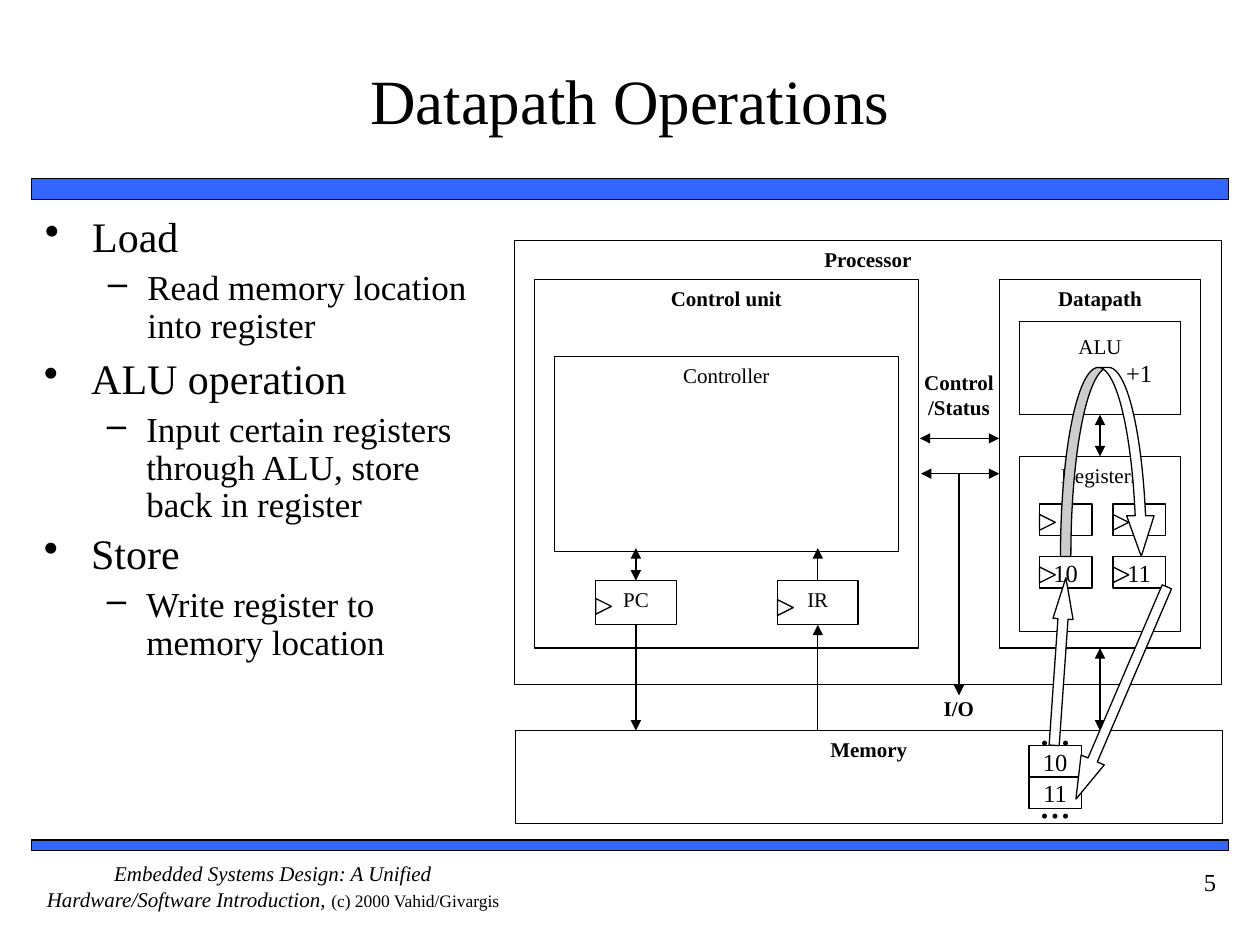
from dataclasses import dataclass

from lxml import etree
from pptx import Presentation
from pptx import util as u
from pptx.dml.color import RGBColor
from pptx.enum import shapes, text
from pptx.oxml.ns import qn

Pt = u.Pt
SHAPE = shapes.MSO_SHAPE
TOP, LEFT, BOTTOM, RIGHT = range(4)
CENTER = text.PP_ALIGN.CENTER
MIDDLE = text.MSO_ANCHOR.MIDDLE


@dataclass(frozen=True)
class Theme:
    font: str = "Times New Roman"
    ink: RGBColor = RGBColor(0, 0, 0)
    paper: RGBColor = RGBColor(255, 255, 255)
    bar: RGBColor = RGBColor(0x33, 0x66, 0xFF)
    title: float = 36
    topic: float = 24
    detail: float = 20
    value: float = 14
    label: float = 12
    credit: float = 10
    line: float = 0.75
    bar_line: float = 1


class Diagram:
    def __init__(self, slide, theme):
        self.shapes = slide.shapes
        self.theme = theme

    def style(self, font, size, bold=False, italic=False):
        font.name, font.size = self.theme.font, Pt(size)
        font.bold, font.italic = bold, italic
        font.color.rgb = self.theme.ink

    def set_words(self, shape, words, size, bold=False, align=CENTER,
                  anchor=text.MSO_ANCHOR.TOP, inset=(0, 0, 0, 0), wrap=True):
        frame = shape.text_frame
        frame.word_wrap = wrap
        frame.vertical_anchor = anchor
        (frame.margin_left, frame.margin_top,
         frame.margin_right, frame.margin_bottom) = map(Pt, inset)
        frame.text = words
        for paragraph in frame.paragraphs:
            paragraph.alignment = align
            for run in paragraph.runs:
                self.style(run.font, size, bold)
        return frame

    def label(self, box, words, size, **options):
        return self.set_words(self.shapes.add_textbox(*map(Pt, box)), words, size, **options)

    def value(self, box, words):
        self.label(box, words, self.theme.value, anchor=MIDDLE, wrap=False)

    def shape(self, kind, box, fill=None, turn=0, adjust=(), line=None):
        item = self.shapes.add_shape(kind, *map(Pt, box))
        item.shadow.inherit = False
        item.rotation = turn
        for i, amount in enumerate(adjust):
            item.adjustments[i] = amount
        if fill is None:
            item.fill.background()
        else:
            item.fill.solid()
            item.fill.fore_color.rgb = fill
        item.line.color.rgb = self.theme.ink
        item.line.width = Pt(line or self.theme.line)
        return item

    def block(self, box, name, bold=False, filled=True, top=3.6):
        item = self.shape(SHAPE.RECTANGLE, box, self.theme.paper if filled else None)
        self.set_words(item, name, self.theme.label, bold, inset=(7.2, top, 7.2, 3.6))
        return item

    def bar(self, box):
        self.shape(SHAPE.RECTANGLE, box, self.theme.bar, line=self.theme.bar_line)

    def clock(self, x, y):
        """Draw the clock input mark of a register."""
        self.shape(SHAPE.ISOSCELES_TRIANGLE, (x, y, 9, 9), turn=90)

    def arrow(self, start, end, both=False, source=None, target=None):
        """source and target are (shape, side) pairs to join the ends to."""
        item = self.shapes.add_connector(
            shapes.MSO_CONNECTOR.STRAIGHT, *map(Pt, (*start, *end)))
        if source:
            item.begin_connect(*source)
        if target:
            item.end_connect(*target)
        item.line.color.rgb = self.theme.ink
        item.line.width = Pt(self.theme.line)
        line = item.line._get_or_add_ln()
        for tag in ("a:headEnd", "a:tailEnd") if both else ("a:tailEnd",):
            etree.SubElement(line, qn(tag), type="triangle")
        etree.SubElement(item._element.spPr, qn("a:effectLst"))

    def topic(self, x, y, heading, detail):
        frame = self.label((x, y, 267, 86), f"{heading}\n{detail}", self.theme.topic,
                           align=text.PP_ALIGN.LEFT, inset=(7.2, 3.6, 7.2, 3.6))
        levels = (("•", 27, 27, self.theme.topic, 0), ("–", 58.5, 22.5, self.theme.detail, 5))
        for level, (paragraph, rule) in enumerate(zip(frame.paragraphs, levels)):
            mark, margin, hang, size, before = rule
            paragraph.level = level
            paragraph.line_spacing = 0.9
            paragraph.space_before = Pt(before)
            props = paragraph._p.get_or_add_pPr()
            props.set("marL", str(Pt(margin)))
            props.set("indent", str(-Pt(hang)))
            etree.SubElement(props, qn("a:buChar"), char=mark)
            self.style(paragraph.runs[0].font, size)


def add_frame(d):
    t = d.theme
    d.bar((18, 102, 684, 12))
    d.bar((18, 480, 684, 6))
    credit = d.label((18, 492, 276, 36),
                     "Embedded Systems Design: A Unified Hardware/Software Introduction, ",
                     t.label)
    d.style(credit.paragraphs[0].runs[0].font, t.label, italic=True)
    holders = credit.paragraphs[0].add_run()
    holders.text = "(c) 2000 Vahid/Givargis"
    d.style(holders.font, t.credit)
    d.label((630, 492, 72, 36), "5", t.value, align=text.PP_ALIGN.RIGHT,
            inset=(7.2, 3.6, 7.2, 3.6))
    d.label((30, 12, 660, 90), "Datapath Operations", t.title, anchor=MIDDLE)


def add_processor(d):
    t = d.theme
    d.block((294, 137.5, 404, 253.5), "Processor", bold=True, filled=False)
    d.block((305.3, 159.8, 219.6, 210.6), "Control unit", bold=True, filled=False)
    datapath = d.block((571, 159.8, 115.2, 210.6), "Datapath", bold=True, filled=False)
    alu = d.block((582.5, 183.6, 92.2, 53.4), "ALU", top=7.2)
    registers = d.block((582.5, 260.8, 92.2, 100), "Registers")
    ir = d.block((444.3, 331.8, 46, 25.2), "IR")
    pc = d.block((340.4, 331.8, 46, 25.2), "PC")
    d.block((316.8, 203.8, 196.6, 111.4), "Controller")
    d.block((294.5, 417.5, 404, 53.2), "Memory", bold=True)

    pc_x, ir_x, data_x, io_x, memory_y = 363.4, 467.3, 628.6, 548, 417.5
    d.arrow((ir_x, 331.8), (ir_x, 313.2), source=(ir, TOP))
    d.arrow((pc_x, 331.8), (pc_x, 313.2), both=True, source=(pc, TOP))
    d.arrow((data_x, 237), (data_x, 260.8), both=True,
            source=(alu, BOTTOM), target=(registers, TOP))
    d.arrow((525.6, 250.5), (571, 250.5), both=True)
    d.arrow((data_x, 370.4), (data_x, memory_y), both=True, source=(datapath, BOTTOM))
    d.arrow((pc_x, 357), (pc_x, memory_y), source=(pc, BOTTOM))
    d.arrow((ir_x, memory_y), (ir_x, 357), target=(ir, BOTTOM))
    for end in ((571, 270.7), (io_x, 397.4), (526.3, 270.7)):
        d.arrow((io_x, 270.7), end)
    d.label((530.6, 397.4, 34.6, 20), "I/O", t.label, bold=True)
    d.label((525, 211, 46, 40), "Control\n/Status", t.label, bold=True)
    d.clock(340.4, 342)
    d.clock(444.3, 342.7)


def add_data_flow(d):
    t = d.theme
    cell = (30, 18)
    left, right = 594, 636
    lower = 318
    for x in (left, right):
        for y in (288, lower):
            d.shape(SHAPE.RECTANGLE, (x, y, *cell))
            d.clock(x, y + 6)

    first_word, second_word = ((588, y, *cell) for y in (426, 444))
    for word in (first_word, second_word):
        d.shape(SHAPE.RECTANGLE, word)
    for y in (402, 444):
        d.label((594, y, 18, 28.8), "...", t.topic, align=text.PP_ALIGN.LEFT, wrap=False)
    d.value(first_word, "10")
    d.value((left, lower, *cell), "10")
    d.shape(SHAPE.UP_ARROW, (600, 330, 11.5, 96), t.paper, 4, (0.5, 2.05))
    d.shape(SHAPE.CURVED_DOWN_ARROW, (606, 210, 54, 108), t.paper,
            adjust=(0.11, 0.29, 0.43))
    d.value((right, 204, *cell), "+1")
    d.value((right, lower, *cell), "11")
    d.shape(SHAPE.DOWN_ARROW, (633.6, 330, 14.4, 132), t.paper, 23.2, (0.4, 1.69))
    d.value(second_word, "11")


def main():
    deck = Presentation()
    deck.slide_width, deck.slide_height = Pt(720), Pt(540)
    d = Diagram(deck.slides.add_slide(deck.slide_layouts[6]), Theme())
    add_frame(d)
    d.topic(18.6, 120, "Load", "Read memory location into register")
    d.topic(18, 201, "ALU operation",
            "Input certain registers through ALU, store back in register")
    d.topic(18, 301, "Store", "Write register to memory location")
    add_processor(d)
    add_data_flow(d)
    deck.save("out.pptx")


if __name__ == "__main__":
    main()
